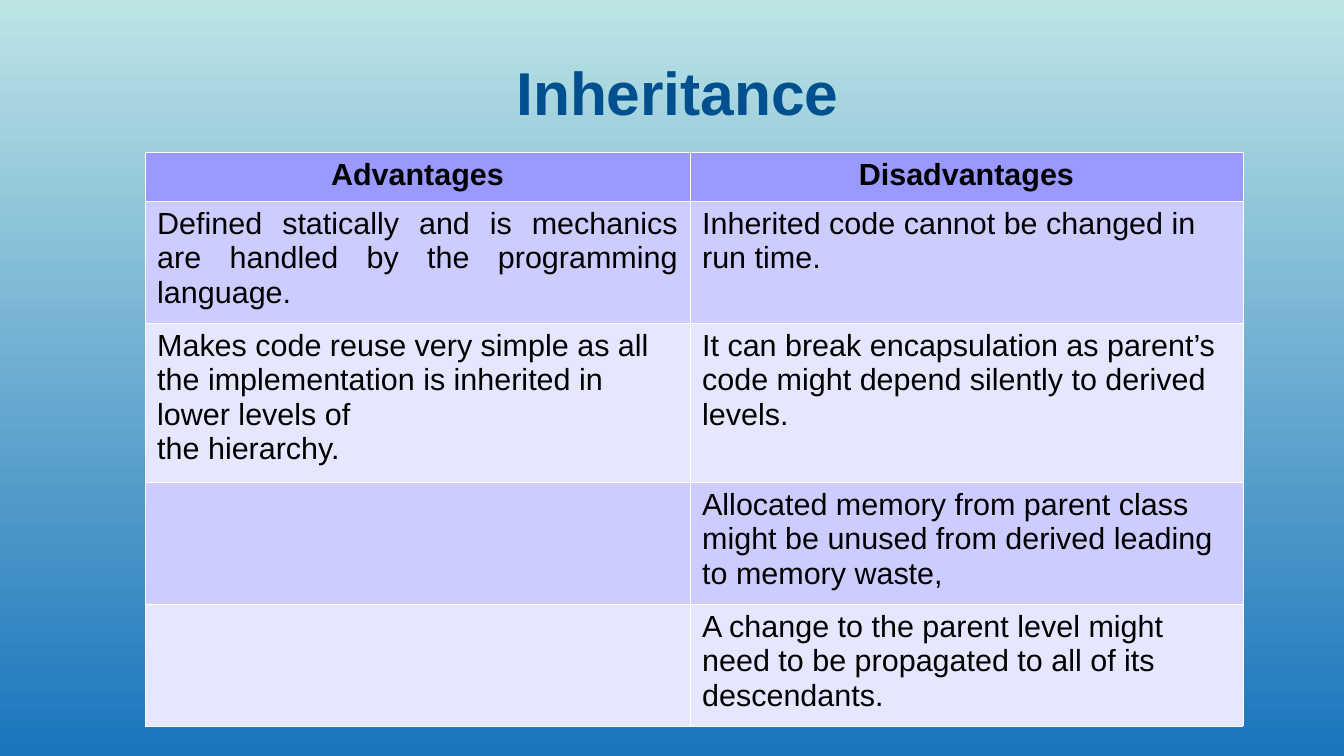
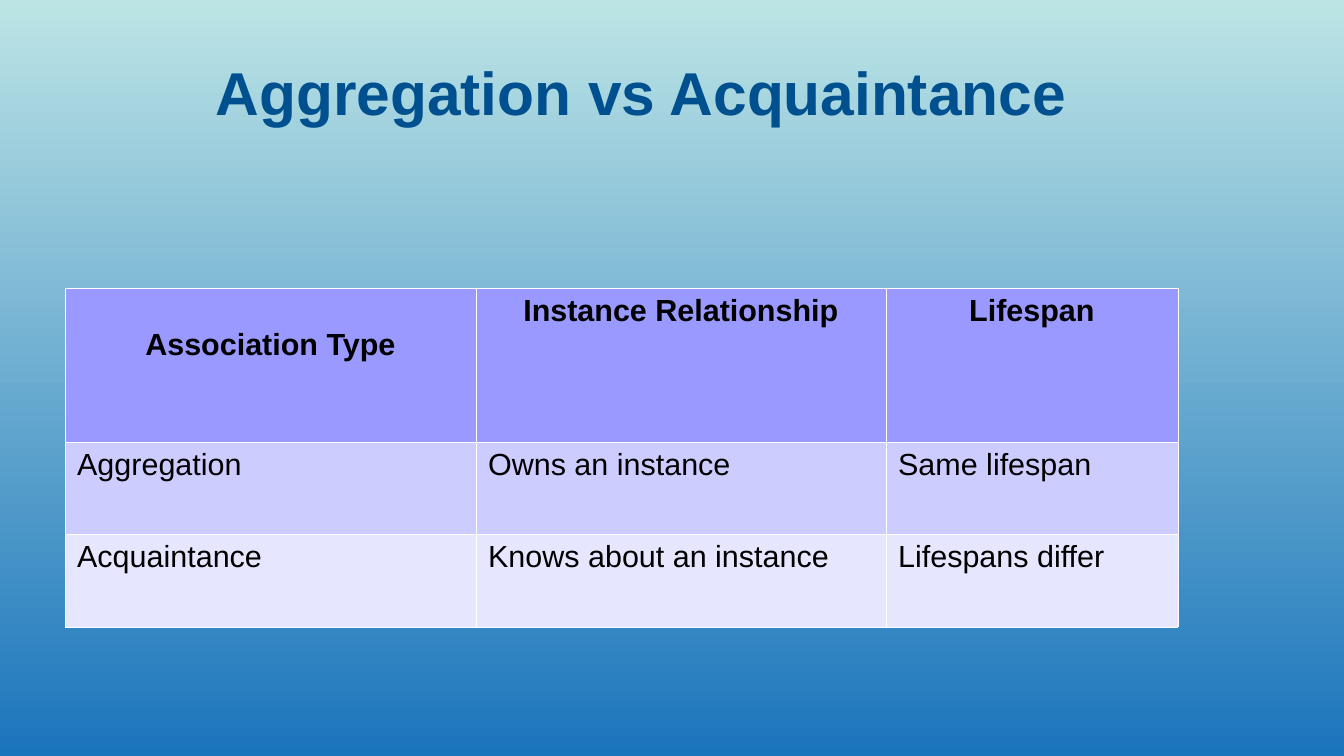
from lxml.etree import SubElement
from pptx import Presentation
from pptx.dml.color import RGBColor
from pptx.enum.text import MSO_ANCHOR, MSO_AUTO_SIZE, PP_ALIGN
from pptx.oxml.ns import qn
from pptx.util import Pt

PX = 914400 / 122
FONT = "Arial"
TITLE_COLOR = "00508F"
TEXT_COLOR = "000000"
BORDER_COLOR = "FFFFFF"
HEADER_FILL = "9999FF"
BAND_FILLS = ("CCCCFF", "E6E6FF")
BACKGROUND = ("BCE4E5", "1B75BC")

SLIDES = [
    {
        "title": "Inheritance",
        "title_width": 1281,
        "table_at": (145, 152),
        "cols": (545, 553),
        "rows": (49, 122, 159, 122, 122),
        "cells": [
            ("Advantages", "Disadvantages"),
            ("Defined statically and is mechanics are handled by the programming language.",
             "Inherited code cannot be changed in run time."),
            ("Makes code reuse very simple as all the implementation is inherited in "
             "lower levels of\nthe hierarchy.",
             "It can break encapsulation as parent’s code might depend silently to derived levels."),
            ("", "Allocated memory from parent class might be unused from derived leading "
                 "to memory waste,"),
            ("", "A change to the parent level might need to be propagated to all of its descendants."),
        ],
        "justified": (1, 0),
    },
    {
        "title": "Aggregation vs Acquaintance",
        "title_width": 1208,
        "table_at": (65, 288),
        "cols": (411, 410, 292),
        "rows": (154, 92, 93),
        "cells": [
            ("Association Type", "Instance Relationship", "Lifespan"),
            ("Aggregation", "Owns an instance", "Same lifespan"),
            ("Acquaintance", "Knows about an instance", "Lifespans differ"),
        ],
        "lowered": (0, 0),
    },
]


def px(n):
    return round(n * PX)


def rgb(value):
    return RGBColor.from_string(value)


def add_run(p, text, size, color, bold):
    r = p.add_run()
    r.text = text
    r.font.name = FONT
    r.font.size = Pt(size)
    r.font.bold = bold
    r.font.color.rgb = rgb(color)


def set_background(master):
    fill = master.background.fill
    fill.gradient()
    fill.gradient_angle = 270
    for stop, color, position in zip(fill.gradient_stops, BACKGROUND, (0, 1)):
        stop.color.rgb = rgb(color)
        stop.position = position


def set_title(s, text, width):
    sp = s.shapes.title
    sp.left, sp.top, sp.width, sp.height = px(37), px(29), px(width), px(124)
    tf = sp.text_frame
    tf.margin_left = tf.margin_right = tf.margin_top = tf.margin_bottom = 0
    tf.vertical_anchor = MSO_ANCHOR.MIDDLE
    tf.auto_size = MSO_AUTO_SIZE.NONE
    p = tf.paragraphs[0]
    p.alignment = PP_ALIGN.CENTER
    add_run(p, text, 35.7, TITLE_COLOR, True)


def set_borders(cell):
    tc_pr = cell._tc.get_or_add_tcPr()
    for side in ("a:lnL", "a:lnR", "a:lnT", "a:lnB"):
        line = SubElement(tc_pr, qn(side), w=str(Pt(0.06)))
        fill = SubElement(line, qn("a:solidFill"))
        SubElement(fill, qn("a:srgbClr"), val=BORDER_COLOR)


def fill_cell(cell, text, fill, align, bold):
    set_borders(cell)
    cell.fill.solid()
    cell.fill.fore_color.rgb = rgb(fill)
    if not text:
        return
    tf = cell.text_frame
    for i, line in enumerate(text.split("\n")):
        p = tf.add_paragraph() if i else tf.paragraphs[0]
        p.alignment = align
        add_run(p, line, 18, TEXT_COLOR, bold)


def add_table(s, data):
    cols, rows = data["cols"], data["rows"]
    left, top = data["table_at"]
    table = s.shapes.add_table(len(rows), len(cols), px(left), px(top),
                               px(sum(cols)), px(sum(rows))).table
    table.first_row = table.horz_banding = False
    for col, width in zip(table.columns, cols):
        col.width = px(width)
    for row, height in zip(table.rows, rows):
        row.height = px(height)
    for i, texts in enumerate(data["cells"]):
        header = i == 0
        fill = HEADER_FILL if header else BAND_FILLS[(i - 1) % 2]
        for j, text in enumerate(texts):
            align = PP_ALIGN.CENTER if header else PP_ALIGN.LEFT
            if data.get("justified") == (i, j):
                align = PP_ALIGN.JUSTIFY
            cell = table.cell(i, j)
            fill_cell(cell, text, fill, align, header)
            if data.get("lowered") == (i, j):
                cell.margin_top = px(40)


def main():
    prs = Presentation()
    prs.slide_width, prs.slide_height = px(1344), px(756)
    set_background(prs.slide_master)
    for data in SLIDES:
        s = prs.slides.add_slide(prs.slide_layouts[5])
        set_title(s, data["title"], data["title_width"])
        add_table(s, data)
    prs.save("out.pptx")


if __name__ == "__main__":
    main()
